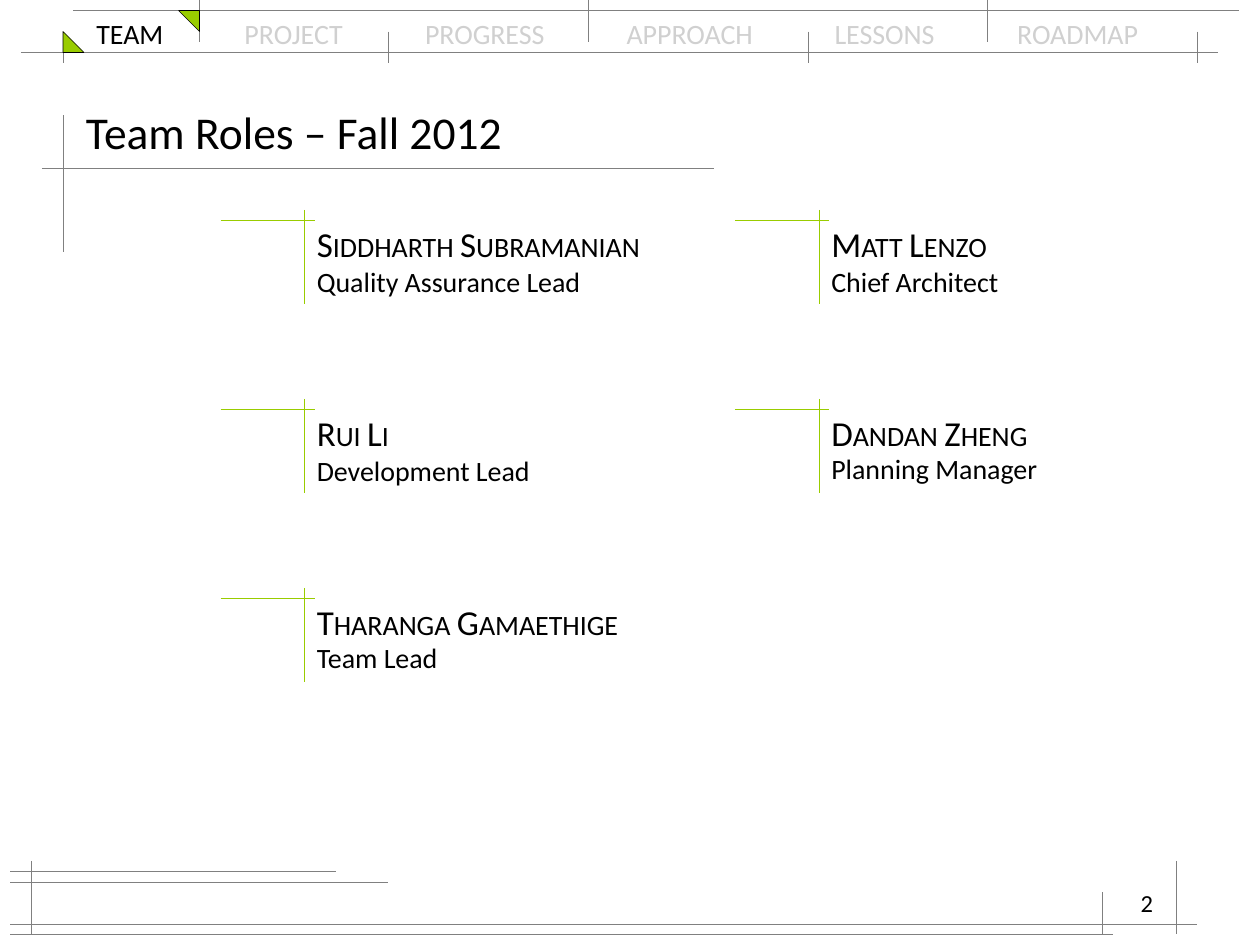
import pptx
import pptx.dml.color
import pptx.enum.shapes
import pptx.enum.text
import pptx.oxml.ns
import pptx.util
from lxml import etree

PX = 7620  # EMU per px, 120 px to the inch
FONT = "Calibri"
COLORS = {"text": "000000", "muted": "D0D0D0", "rule": "808080", "accent": "99CC00"}

SECTIONS = ["TEAM", "PROJECT", "PROGRESS", "APPROACH", "LESSONS", "ROADMAP"]
SECTION_TABS = [141, 313, 505, 703, 877]

# Horizontal rules as (left, right, y), vertical rules as (x, top, bottom)
HORIZONTAL_RULES = [(20, 1160, 50), (70, 1180, 10), (40, 680, 160), (10, 370, 840),
                    (10, 1140, 880), (10, 320, 830), (10, 1060, 890)]
VERTICAL_RULES = [(60, 110, 240), (30, 820, 890), (1120, 820, 890), (1050, 850, 890)]
LOWER_TICKS = [60, 370, 770, 1140]
UPPER_TICKS = [190, 560, 940]

# Column, row, name, role, whether the role line is tightened, box height
MEMBERS = [
    (0, 0, "Siddharth Subramanian", "Quality Assurance Lead", True, 74),
    (0, 1, "Rui Li", "Development Lead", True, 74),
    (0, 2, "Tharanga Gamaethige", "Team Lead", False, 68),
    (1, 0, "Matt Lenzo", "Chief Architect", True, 119),
    (1, 1, "Dandan Zheng", "Planning Manager", False, 68),
]


def px(value):
    return pptx.util.Emu(value * PX)


def rgb(name):
    return pptx.dml.color.RGBColor.from_string(COLORS[name])


def add_box(slide, left, top, width, height, anchor="TOP", grow=False):
    frame = slide.shapes.add_textbox(px(left), px(top), px(width), px(height)).text_frame
    frame.word_wrap = True
    frame.vertical_anchor = getattr(pptx.enum.text.MSO_ANCHOR, anchor)
    if grow:
        frame.auto_size = pptx.enum.text.MSO_AUTO_SIZE.SHAPE_TO_FIT_TEXT
    return frame


def add_text(paragraph, text, size, color="text", small_caps=False,
             align=None, line_spacing=None, space_before=None):
    run = paragraph.add_run()
    run.text = text
    run.font.name = FONT
    run.font.size = pptx.util.Pt(size)
    run.font.color.rgb = rgb(color)
    if small_caps:
        run.font._element.set("cap", "small")
    if align:
        paragraph.alignment = getattr(pptx.enum.text.PP_ALIGN, align)
    if line_spacing:
        paragraph.line_spacing = line_spacing
    if space_before:
        paragraph.space_before = pptx.util.Pt(space_before)


def add_tab_stops(paragraph, positions):
    qn = pptx.oxml.ns.qn
    stops = etree.SubElement(paragraph._p.get_or_add_pPr(), qn("a:tabLst"))
    for position in positions:
        etree.SubElement(stops, qn("a:tab"), pos=str(px(position)), algn="l")


def add_rule(slide, x1, y1, x2, y2, color="rule"):
    rule = slide.shapes.add_connector(
        pptx.enum.shapes.MSO_CONNECTOR.STRAIGHT, px(x1), px(y1), px(x2), px(y2))
    rule.line.color.rgb = rgb(color)
    rule.line.width = pptx.util.Pt(0.3)
    etree.SubElement(rule._element.spPr, pptx.oxml.ns.qn("a:effectLst"))


def add_corner(slide, left, top, rotation=0):
    corner = slide.shapes.add_shape(
        pptx.enum.shapes.MSO_SHAPE.RIGHT_TRIANGLE, px(left), px(top), px(20), px(20))
    corner.rotation = rotation
    corner.shadow.inherit = False
    corner.fill.solid()
    corner.fill.fore_color.rgb = rgb("accent")
    corner.line.color.rgb = rgb("text")
    corner.line.width = pptx.util.Pt(0.3)


def add_navigation(slide):
    bar = add_box(slide, 80, 10, 1040, 44, grow=True).paragraphs[0]
    add_tab_stops(bar, SECTION_TABS)
    add_text(bar, SECTIONS[0], 16)
    add_text(bar, "\t" + "\t".join(SECTIONS[1:]), 16, color="muted")


def add_frame_rules(slide):
    for left, right, y in HORIZONTAL_RULES:
        add_rule(slide, left, y, right, y)
    ticks = [(x, 30, 60) for x in LOWER_TICKS] + [(x, -30, 40) for x in UPPER_TICKS]
    for x, top, bottom in VERTICAL_RULES + ticks:
        add_rule(slide, x, top, x, bottom)


def add_member(slide, column, row, name, role, tight, height):
    left, top = 290 + 490 * column, 200 + 180 * row
    card = add_box(slide, left, top + 20, 350, height, grow=True)
    add_text(card.paragraphs[0], name, 20, small_caps=True, line_spacing=0.6)
    add_text(card.add_paragraph(), role, 16,
             line_spacing=0.6 if tight else None, space_before=8 if tight else None)
    add_rule(slide, left, top, left, top + 90, "accent")
    add_rule(slide, left - 80, top + 10, left + 10, top + 10, "accent")


def main():
    deck = pptx.Presentation()
    deck.slide_width, deck.slide_height = px(1200), px(900)
    slide = deck.slides.add_slide(deck.slide_layouts[6])

    # Header and frame
    add_navigation(slide)
    add_frame_rules(slide)
    add_corner(slide, 60, 30)
    add_corner(slide, 170, 10, rotation=180)

    # Title
    title = add_box(slide, 70, 90, 1060, 70, anchor="MIDDLE")
    add_text(title.paragraphs[0], "Team Roles – Fall 2012", 26)

    # Team members
    for member in MEMBERS:
        add_member(slide, *member)

    # Page number
    page_number = add_box(slide, 860, 840, 250, 60)
    add_text(page_number.paragraphs[0], "2", 14, align="RIGHT")

    deck.save("out.pptx")


if __name__ == "__main__":
    main()
